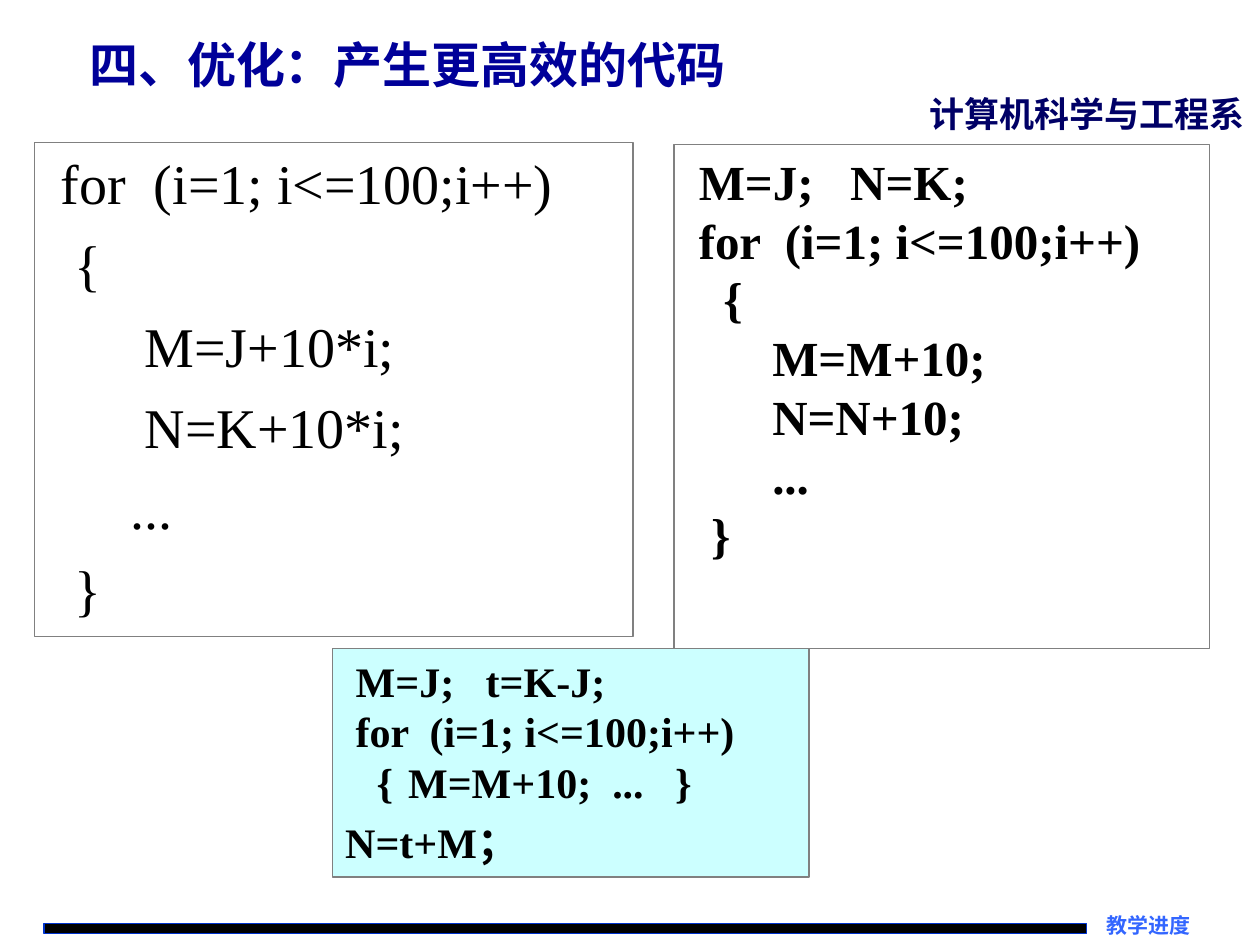
from lxml import etree
from pptx import Presentation
from pptx.dml.color import RGBColor
from pptx.enum import shapes, text
from pptx.oxml.ns import qn
from pptx.util import Cm, Pt

FONT = "Times New Roman"
COLORS = {"title": "000099", "department": "000066", "progress": "3366FF",
          "code": "000000", "bar": "000000", "bar_line": "0033CC",
          "frame": "808080", "result": "CCFFFF"}

TITLE = "四、优化：产生更高效的代码"
TITLE_AREA = (1.55, 0.71, 14.99, 1.14)
BAR_AREA = (0.89, 18.62, 21.01, 0.2)

# text, area in cm, colour, size, space before, alignment, margin in cm
LABELS = [
    ("教学进度", (21.89, 18.39, 2.11, 0.53), "progress", 12, 0, "RIGHT", (0, 0)),
    ("计算机科学与工程系", (18.49, 1.73, 6.91, 1.12), "department", 20, 0, "LEFT", (0.25, 0.13)),
]

# Each code line: indent in characters, space before in points, code
LISTINGS = [
    {"area": (0.69, 2.87, 12.07, 9.96), "size": 32, "bold": False, "fill": None,
     "lines": [(1, 8, "for  (i=1; i<=100;i++)"), (2, 8, "{"), (7, 8, "M=J+10*i;"),
               (7, 8, "N=K+10*i;"), (6, 8, "..."), (2, 8, "}")]},
    {"area": (13.59, 2.92, 10.8, 10.16), "size": 28, "bold": True, "fill": None,
     "lines": [(1, 7, "M=J;   N=K;"), (1, 0, "for  (i=1; i<=100;i++)"), (3, 0, "{"),
               (7, 0, "M=M+10;"), (7, 0, "N=N+10;"), (7, 0, "..."), (2, 0, "}")]},
    {"area": (6.71, 13.08, 9.6, 4.6), "size": 24, "bold": True, "fill": "result",
     "lines": [(1, 6, "M=J;   t=K-J;"), (1, 0, "for  (i=1; i<=100;i++)"),
               (3, 0, "{\tM=M+10;  ...   }"), (0, 6, "N=t+M；")]},
]
STATEMENT_TAB = Cm(2.44)


def rgb(name):
    return RGBColor.from_string(COLORS[name])


def apply(target, **values):
    for key, value in values.items():
        setattr(target, key, value)


def write(paragraph, wording, color, size, bold=True, before=0, align="LEFT"):
    apply(paragraph, alignment=getattr(text.PP_ALIGN, align), space_before=Pt(before))
    run = paragraph.add_run()
    run.text = wording
    apply(run.font, name=FONT, size=Pt(size), bold=bold)
    run.font.color.rgb = rgb(color)


def set_margins(frame, across, down):
    apply(frame, margin_left=Cm(across), margin_right=Cm(across),
          margin_top=Cm(down), margin_bottom=Cm(down))


def add_box(slide, area, fill, line):
    box = slide.shapes.add_shape(shapes.MSO_SHAPE.RECTANGLE, *map(Cm, area))
    box.shadow.inherit = False
    if fill:
        box.fill.solid()
        box.fill.fore_color.rgb = rgb(fill)
    else:
        box.fill.background()
    box.line.color.rgb = rgb(line)
    box.line.width = Pt(0.75)
    return box


def indent(paragraph, characters, size):
    """Indent the first line; one character is a quarter of the type size."""
    props = paragraph._p.get_or_add_pPr()
    props.set("marL", "0")
    props.set("indent", str(Pt(characters * size / 4)))
    if "\t" in paragraph.text:
        stops = etree.SubElement(props, qn("a:tabLst"))
        etree.SubElement(stops, qn("a:tab"), pos=str(STATEMENT_TAB), algn="l")


def add_listing(slide, area, size, bold, fill, lines):
    frame = add_box(slide, area, fill, "frame").text_frame
    apply(frame, word_wrap=True, vertical_anchor=text.MSO_ANCHOR.TOP)
    set_margins(frame, 0.25, 0.13)
    for number, (characters, before, code) in enumerate(lines):
        paragraph = frame.add_paragraph() if number else frame.paragraphs[0]
        write(paragraph, code, "code", size, bold, before)
        indent(paragraph, characters, size)


def main():
    deck = Presentation()
    apply(deck, slide_width=Cm(25.4), slide_height=Cm(19.05))
    slide = deck.slides.add_slide(deck.slide_layouts[5])

    title = slide.shapes.title
    apply(title, **dict(zip(("left", "top", "width", "height"), map(Cm, TITLE_AREA))))
    apply(title.text_frame, word_wrap=True, vertical_anchor=text.MSO_ANCHOR.MIDDLE,
          auto_size=text.MSO_AUTO_SIZE.NONE)
    set_margins(title.text_frame, 0.25, 0.13)
    write(title.text_frame.paragraphs[0], TITLE, "title", 28)

    add_box(slide, BAR_AREA, "bar", "bar_line")
    for wording, area, color, size, before, align, margins in LABELS:
        frame = slide.shapes.add_textbox(*map(Cm, area)).text_frame
        frame.word_wrap = True
        set_margins(frame, *margins)
        write(frame.paragraphs[0], wording, color, size, True, before, align)
    for listing in LISTINGS:
        add_listing(slide, **listing)
    deck.save("out.pptx")


if __name__ == "__main__":
    main()
